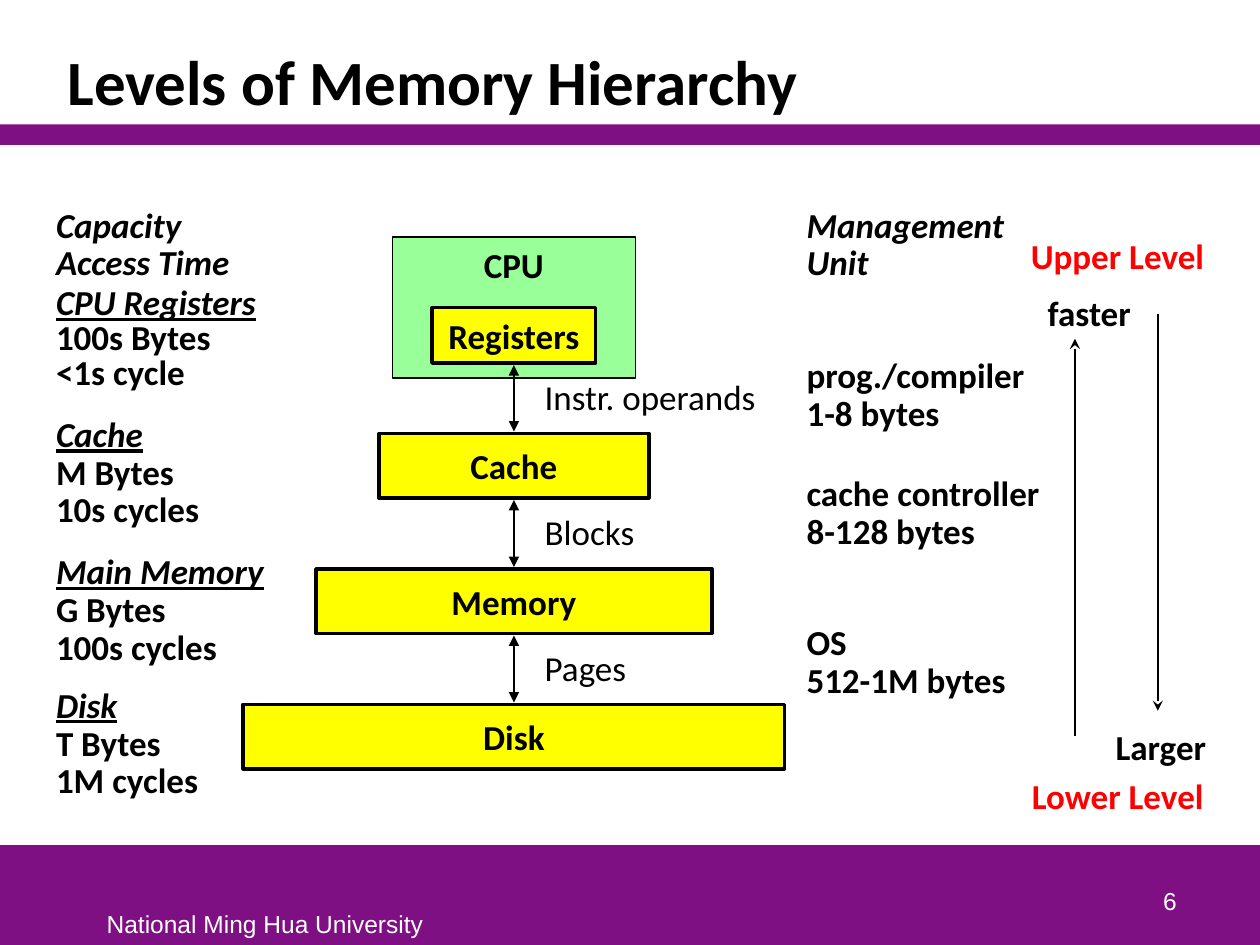
import lxml.etree
import pptx
import pptx.util
import pptx.dml.color
import pptx.enum.shapes
import pptx.enum.text
import pptx.oxml.ns

Cm = pptx.util.Cm
Pt = pptx.util.Pt
ALIGN = pptx.enum.text.PP_ALIGN
ANCHOR = pptx.enum.text.MSO_ANCHOR

COLORS = {
    "purple": "7F1084",
    "green": "99FF99",
    "yellow": "FFFF00",
    "red": "FF0000",
    "black": "000000",
    "white": "FFFFFF",
}


def color(name):
    return pptx.dml.color.RGBColor.from_string(COLORS[name])


def add_run(paragraph, text, size=20, font="Calibri", ink="black", bold=True,
            italic=False, underline=False):
    run = paragraph.add_run()
    run.text = text
    run.font.name = font
    run.font.size = Pt(size)
    run.font.bold = bold
    run.font.italic = italic
    run.font.underline = underline
    run.font.color.rgb = color(ink)


def add_box(slide, left, top, width, height, fill, line_width=None):
    shape = slide.shapes.add_shape(pptx.enum.shapes.MSO_SHAPE.RECTANGLE,
                                   Cm(left), Cm(top), Cm(width), Cm(height))
    shape.shadow.inherit = False
    shape.fill.solid()
    shape.fill.fore_color.rgb = color(fill)
    if line_width is None:
        shape.line.fill.background()
    else:
        shape.line.color.rgb = color("black")
        shape.line.width = Pt(line_width)
    return shape


def label_box(shape, text, anchor):
    frame = shape.text_frame
    frame.word_wrap = False
    frame.vertical_anchor = anchor
    paragraph = frame.paragraphs[0]
    paragraph.alignment = ALIGN.CENTER
    add_run(paragraph, text)


def add_lines(slide, left, top, width, lines, spacing=0.9, headings=0,
              underline=False, **style):
    height = 0.86 + 0.8 * (len(lines) - 1)
    box = slide.shapes.add_textbox(Cm(left), Cm(top), Cm(width), Cm(height))
    frame = box.text_frame
    frame.word_wrap = False
    frame.margin_left = frame.margin_right = Cm(0.16)
    frame.margin_top = frame.margin_bottom = Cm(0.08)
    for index, text in enumerate(lines):
        paragraph = frame.add_paragraph() if index else frame.paragraphs[0]
        paragraph.line_spacing = spacing
        heading = index < headings
        add_run(paragraph, text, italic=heading,
                underline=heading and underline, **style)


def add_arrow(slide, x, start, end, width, tail, head=None):
    connector = slide.shapes.add_connector(
        pptx.enum.shapes.MSO_CONNECTOR.STRAIGHT, Cm(x), Cm(start), Cm(x), Cm(end))
    connector.line.color.rgb = color("black")
    connector.line.width = Pt(width)
    qn = pptx.oxml.ns.qn
    properties = connector._element.find(qn("p:spPr"))
    line = properties.find(qn("a:ln"))
    for tag, kind in (("a:headEnd", head), ("a:tailEnd", tail)):
        if kind:
            lxml.etree.SubElement(line, qn(tag), type=kind)
    lxml.etree.SubElement(properties, qn("a:effectLst"))


def build_header(slide, left, top, width):
    add_box(slide, left, top + 2.51, width, 0.41, "purple")
    title = slide.shapes.title
    title.left, title.top = Cm(left + 1.11), Cm(top + 0.64)
    title.width, title.height = Cm(width - 2.24), Cm(1.88)
    title.text_frame.vertical_anchor = ANCHOR.BOTTOM
    paragraph = title.text_frame.paragraphs[0]
    paragraph.alignment = ALIGN.LEFT
    paragraph.line_spacing = 0.85
    add_run(paragraph, "Levels of Memory Hierarchy", size=36)


def build_footer(slide, left, top, width, height):
    add_box(slide, left, top, width, height, "purple")
    entries = (
        ("National Ming Hua University", 1.9, 1.17, 7.01, 0.84, ALIGN.LEFT, ANCHOR.TOP),
        ("6", 18.69, 0.26, 5.28, 1.27, ALIGN.RIGHT, ANCHOR.BOTTOM),
    )
    for text, x, y, box_width, box_height, alignment, anchor in entries:
        box = slide.shapes.add_textbox(Cm(left + x), Cm(top + y),
                                       Cm(box_width), Cm(box_height))
        box.text_frame.word_wrap = True
        box.text_frame.vertical_anchor = anchor
        paragraph = box.text_frame.paragraphs[0]
        paragraph.alignment = alignment
        add_run(paragraph, text, size=14, font="Arial", ink="white", bold=False)


def build_capacities(slide, left, top):
    add_lines(slide, left, top, 3.86, ["Capacity", "Access Time"], headings=2)
    groups = (
        (1.61, 4.39, Pt(20), ["CPU Registers", "100s Bytes", "<1s cycle"]),
        (4.22, 3.25, 0.9, ["Cache", "M Bytes", "10s cycles"]),
        (6.99, 4.55, 0.9, ["Main Memory", "G Bytes", "100s cycles"]),
        (9.68, 3.23, 0.9, ["Disk", "T Bytes", "1M cycles"]),
    )
    for y, width, spacing, lines in groups:
        add_lines(slide, left, top + y, width, lines, spacing,
                  headings=1, underline=True)


def build_hierarchy(slide, left, top, width):
    center = left + width / 2
    cpu = add_box(slide, center - 2.45, top, 4.9, 2.84, "green", 0.75)
    label_box(cpu, "CPU", ANCHOR.TOP)
    registers = add_box(slide, center - 1.65, top + 1.42, 3.3, 1.12, "yellow", 2)
    label_box(registers, "Registers", ANCHOR.MIDDLE)
    upper_edge = top + 2.54
    levels = (
        ("Cache", 5.44, "Instr. operands", 4.62),
        ("Memory", 7.98, "Blocks", 2.16),
        ("Disk", width, "Pages", 1.98),
    )
    for index, (name, level_width, transfer, label_width) in enumerate(levels):
        y = top + 3.96 + 2.73 * index
        level = add_box(slide, center - level_width / 2, y, level_width, 1.3,
                        "yellow", 2)
        label_box(level, name, ANCHOR.MIDDLE)
        add_arrow(slide, center, upper_edge + 0.04, y - 0.04, 1.5,
                  "triangle", "triangle")
        add_lines(slide, center + 0.46, y - 1.12, label_width, [transfer],
                  0.85, bold=False)
        upper_edge = y + 1.3


def build_management(slide, left, top):
    add_lines(slide, left, top, 4.34, ["Management", "Unit"], headings=2)
    units = (
        (3.03, 4.75, ["prog./compiler", "1-8 bytes"]),
        (5.42, 5.05, ["cache controller", "8-128 bytes"]),
        (8.41, 4.37, ["OS", "512-1M bytes"]),
    )
    for y, width, lines in units:
        add_lines(slide, left, top + y, width, lines)


def build_directions(slide, left, top):
    labels = (
        ("Upper Level", 0, 0, 3.86, "red"),
        ("faster", 0.34, 1.14, 2.03, "black"),
        ("Larger", 1.71, 9.9, 2.18, "black"),
        ("Lower Level", 0.02, 10.89, 3.84, "red"),
    )
    for text, x, y, width, ink in labels:
        add_lines(slide, left + x, top + y, width, [text], 0.85, ink=ink)
    add_arrow(slide, left + 1.05, top + 10.05, top + 2.05, 1, "stealth")
    add_arrow(slide, left + 2.72, top + 1.54, top + 9.55, 1, "stealth")


def main():
    presentation = pptx.Presentation()
    presentation.slide_width = Cm(25.4)
    presentation.slide_height = Cm(19.05)
    slide = presentation.slides.add_slide(presentation.slide_layouts[5])
    build_header(slide, 0, 0, 25.4)
    build_footer(slide, 0, 17.04, 25.4, 2.01)
    build_capacities(slide, 0.97, 4.11)
    build_hierarchy(slide, 4.9, 4.78, 10.92)
    build_management(slide, 16.1, 4.11)
    build_directions(slide, 20.62, 4.78)
    presentation.save("out.pptx")


if __name__ == "__main__":
    main()
